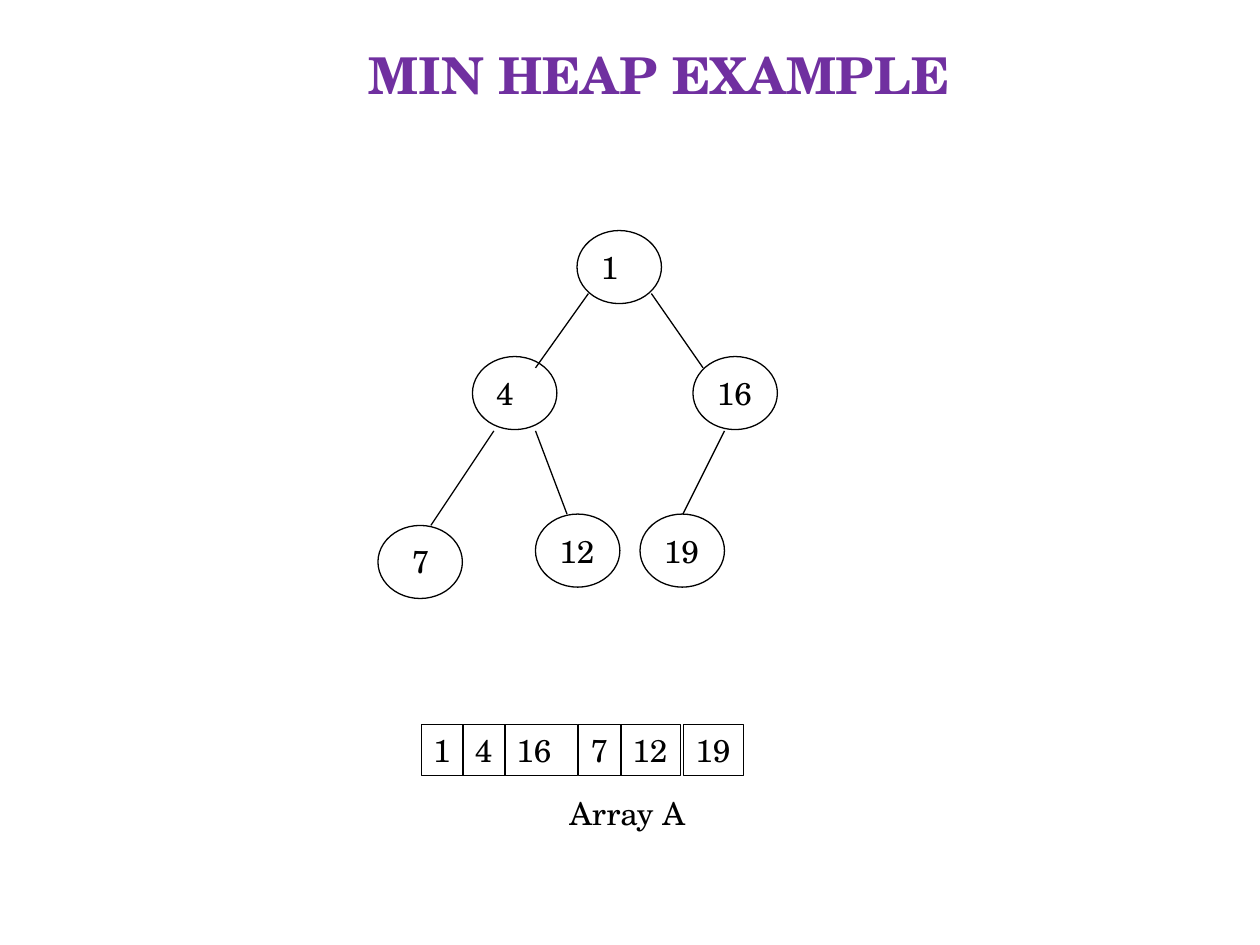
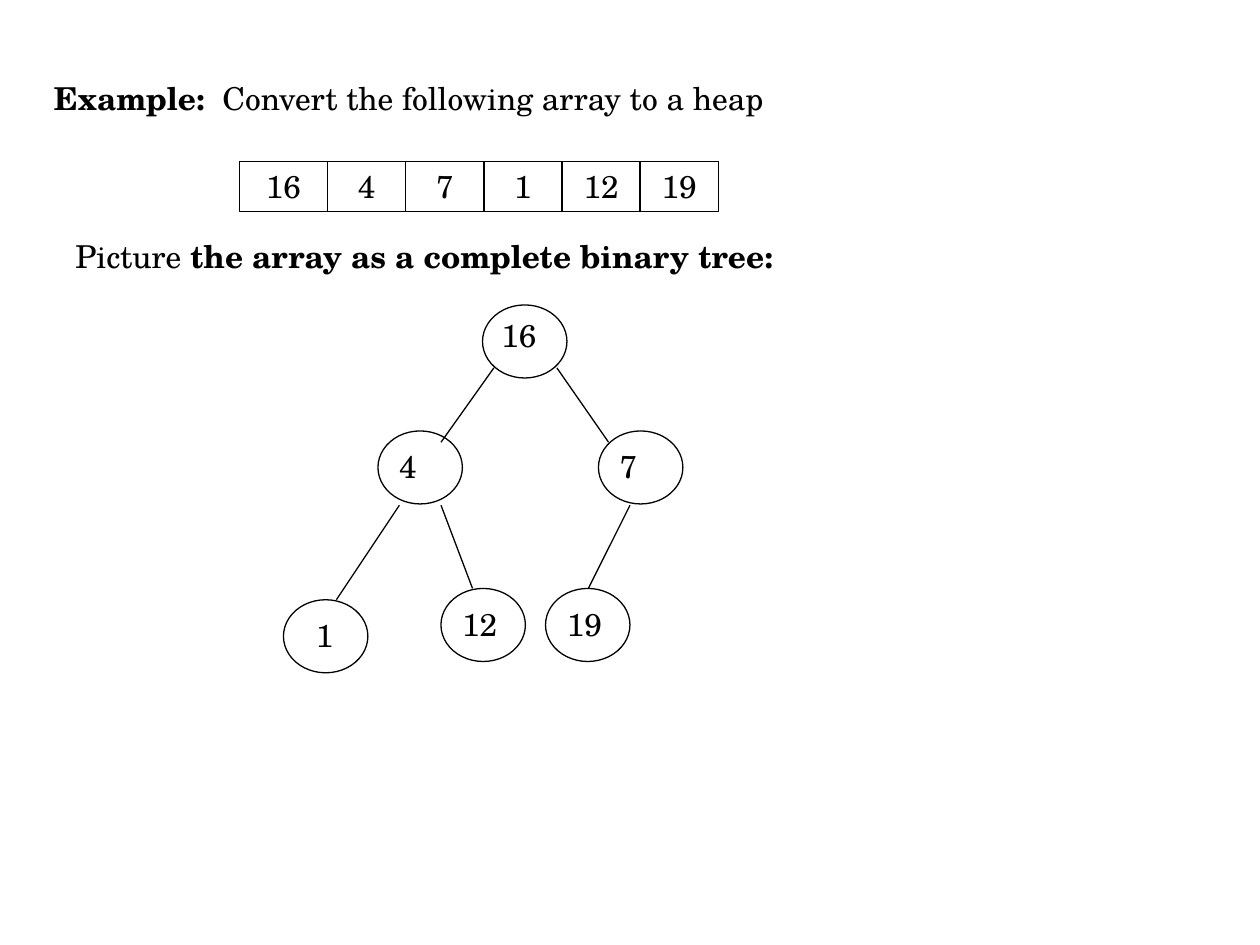
from lxml.etree import SubElement
from pptx import Presentation
from pptx.dml.color import RGBColor
from pptx.enum.shapes import MSO_CONNECTOR, MSO_SHAPE
from pptx.enum.text import MSO_ANCHOR, MSO_AUTO_SIZE, PP_ALIGN
from pptx.oxml.ns import qn
from pptx.util import Inches, Pt

FONT = "TeX Gyre Schola"
BLACK, PURPLE = "000000", "7030A0"
ROW_H = 0.4
NODE_W, NODE_H = 0.67, 0.58

# Tree layout, measured from the top left of the root, in level order
NODES = [(0, 0), (-0.83, 1), (0.92, 1), (-1.58, 2.34), (-0.33, 2.25), (0.5, 2.25)]
EDGES = [
    ((0.09, 0.5), (-0.33, 1.09)),
    ((0.59, 0.5), (1, 1.09)),
    ((-0.66, 1.59), (-1.16, 2.34)),
    ((-0.33, 1.59), (-0.08, 2.25)),
    ((1.17, 1.59), (0.84, 2.25)),
]

TITLE = "MIN HEAP EXAMPLE"
MIN_HEAP = ["1", "4", "16", "7", "12", "19"]
MIN_HEAP_ROOT = (4.58, 1.83)
MIN_HEAP_LABELS = [(0.09, 0.09)] * 3 + [(0.17, 0.08)] + [(0.09, 0.09)] * 2
HEAP_CELLS = [(3.34, 0.34), (3.67, 0.34), (4, 0.58),
              (4.59, 0.34), (4.92, 0.48), (5.42, 0.48)]
ARRAY_NAME = "Array A"

TASK = [("Example:", True), ("  Convert the following array to a heap", False)]
UNSORTED = ["16", "4", "7", "1", "12", "19"]
UNSORTED_ROOT = (3.83, 2.42)
UNSORTED_LABELS = [(0.05, 0.04)] + [(0.07, 0.08)] * 2 + [(0.16, 0.08)] + [(0.07, 0.08)] * 2
FIRST_CELL_W, CELL_W = 0.7, 0.62
UNSORTED_CELLS = [(1.9, FIRST_CELL_W)] + [
    (1.9 + FIRST_CELL_W + i * CELL_W, CELL_W) for i in range(len(UNSORTED) - 1)]
PICTURE_IT = [("Picture ", False), ("the array as a complete binary tree:", True)]


def rgb(hex_color):
    return RGBColor.from_string(hex_color)


def write(shape, runs, size=18, color=BLACK, align=PP_ALIGN.LEFT, wrap=True):
    """Fill a shape with one paragraph of (text, bold) runs."""
    tf = shape.text_frame
    tf.word_wrap = wrap
    tf.auto_size = MSO_AUTO_SIZE.SHAPE_TO_FIT_TEXT
    tf.vertical_anchor = MSO_ANCHOR.TOP
    p = tf.paragraphs[0]
    p.alignment = align
    for text, bold in runs:
        r = p.add_run()
        r.text = text
        r.font.name = FONT
        r.font.size = Pt(size)
        r.font.bold = bold
        r.font.color.rgb = rgb(color)
    return tf


def add_text(s, x, y, w, runs, h=ROW_H, **style):
    box = s.shapes.add_textbox(Inches(x), Inches(y), Inches(w), Inches(h))
    return write(box, runs, **style)


def add_outline(s, kind, x, y, w, h, weight):
    sp = s.shapes.add_shape(kind, Inches(x), Inches(y), Inches(w), Inches(h))
    sp.shadow.inherit = False
    sp.fill.background()
    sp.line.color.rgb = rgb(BLACK)
    sp.line.width = Pt(weight)
    return sp


def add_edge(s, start, end):
    line = s.shapes.add_connector(
        MSO_CONNECTOR.STRAIGHT, *(Inches(v) for v in (*start, *end)))
    line.line.color.rgb = rgb(BLACK)
    line.line.width = Pt(0.75)
    SubElement(line._element.spPr, qn("a:effectLst"))


def add_tree(s, values, root, labels):
    x0, y0 = root
    for value, (dx, dy), (lx, ly) in zip(values, NODES, labels):
        x, y = x0 + dx, y0 + dy
        add_outline(s, MSO_SHAPE.OVAL, x, y, NODE_W, NODE_H, 0.75)
        label_w = 0.34 if len(value) == 1 else 0.48
        add_text(s, x + lx, y + ly, label_w, [(value, False)], wrap=False)
    for edge in EDGES:
        add_edge(s, *((x0 + dx, y0 + dy) for dx, dy in edge))


def add_array(s, values, cells, y, weight, align):
    for value, (x, w) in zip(values, cells):
        cell = add_outline(s, MSO_SHAPE.RECTANGLE, x, y, w, ROW_H, weight)
        write(cell, [(value, False)], align=align)


def build_min_heap(s):
    add_array(s, MIN_HEAP, HEAP_CELLS, 5.75, 0.25, PP_ALIGN.LEFT)
    add_text(s, 4.42, 6.25, 1.42, [(ARRAY_NAME, False)])
    add_tree(s, MIN_HEAP, MIN_HEAP_ROOT, MIN_HEAP_LABELS)
    tf = add_text(s, 2.83, 0.44, 5.25, [(TITLE, True)], h=0.93, size=29, color=PURPLE)
    tf.auto_size = MSO_AUTO_SIZE.NONE
    tf.margin_top = 0
    tf.paragraphs[0].line_spacing = 0.8


def build_array_to_tree(s):
    add_text(s, 0.33, 0.58, 9.33, TASK)
    add_array(s, UNSORTED, UNSORTED_CELLS, 1.28, 0.75, PP_ALIGN.CENTER)
    add_text(s, 0.5, 1.83, 9.33, PICTURE_IT)
    add_tree(s, UNSORTED, UNSORTED_ROOT, UNSORTED_LABELS)


def main():
    prs = Presentation()
    prs.slide_width, prs.slide_height = Inches(10), Inches(7.5)
    for build in (build_min_heap, build_array_to_tree):
        build(prs.slides.add_slide(prs.slide_layouts[6]))
    prs.save("out.pptx")


if __name__ == "__main__":
    main()
